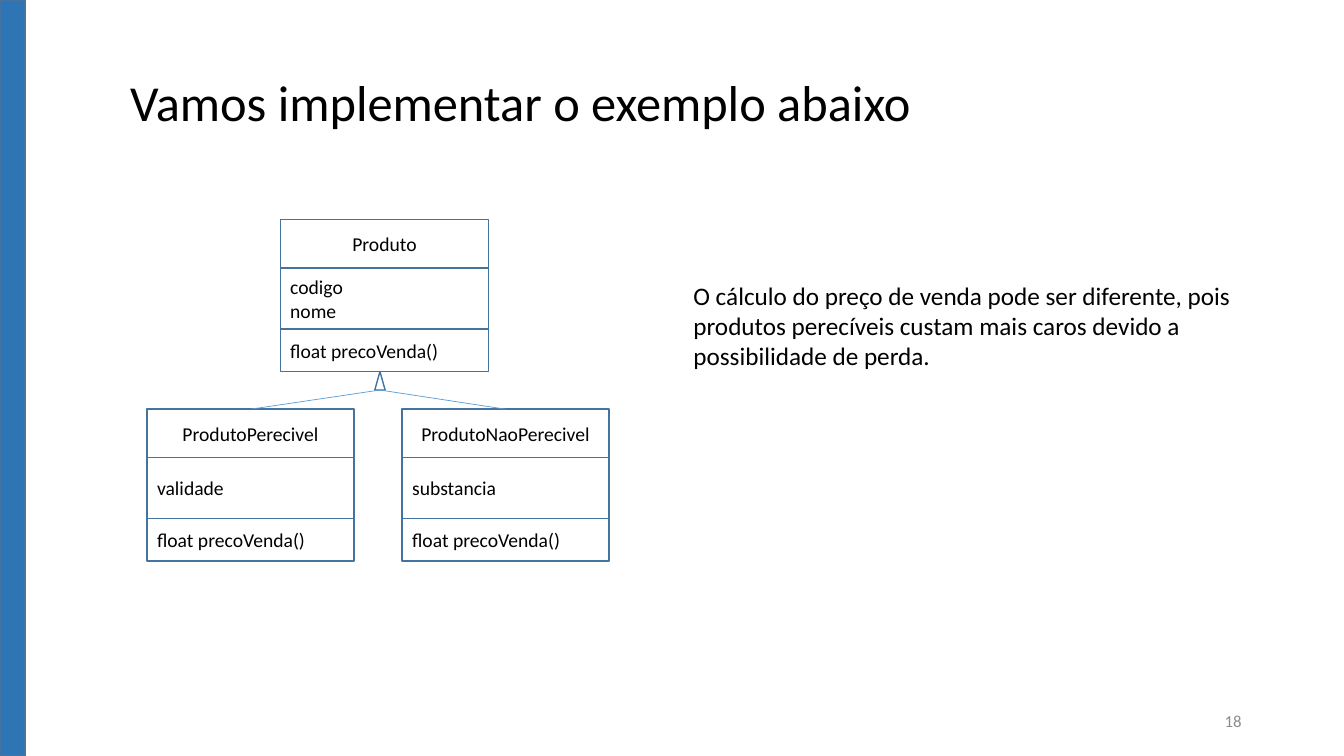
from dataclasses import dataclass

from lxml import etree
from pptx import Presentation
from pptx.dml.color import RGBColor
from pptx.enum.shapes import MSO_CONNECTOR, MSO_SHAPE
from pptx.enum.text import MSO_ANCHOR, MSO_AUTO_SIZE, PP_ALIGN
from pptx.oxml.ns import qn
from pptx.util import Pt

RECTANGLE = MSO_SHAPE.RECTANGLE
TRIANGLE = MSO_SHAPE.ISOSCELES_TRIANGLE
STRAIGHT = MSO_CONNECTOR.STRAIGHT
LEFT, CENTER, RIGHT = PP_ALIGN.LEFT, PP_ALIGN.CENTER, PP_ALIGN.RIGHT
TOP, MIDDLE = MSO_ANCHOR.TOP, MSO_ANCHOR.MIDDLE
NO_AUTOFIT = MSO_AUTO_SIZE.NONE
TITLE_ONLY_LAYOUT = 5
SLIDE_WIDTH, SLIDE_HEIGHT = 960, 540


@dataclass(frozen=True)
class Theme:
    """Colours, font, type sizes and line widths of the slide."""
    font: str = "Calibri"
    text: str = "000000"
    muted: str = "8C8C8C"
    outline: str = "43739E"
    link: str = "5B9BD5"
    sidebar: str = "2E75B6"
    title_size: float = 36
    body_size: float = 18
    class_size: float = 14
    number_size: float = 12
    outline_width: float = 1
    link_width: float = 0.5


@dataclass(frozen=True)
class Box:
    """A rectangle in points."""
    left: float
    top: float
    width: float
    height: float

    def lengths(self) -> tuple:
        """Return left, top, width and height as lengths."""
        return Pt(self.left), Pt(self.top), Pt(self.width), Pt(self.height)


@dataclass(frozen=True)
class UmlClass:
    """A class with its name, attributes and methods."""
    left: float
    top: float
    width: float
    name: str
    attributes: str
    methods: str

    @property
    def center(self) -> float:
        """Return the horizontal middle."""
        return self.left + self.width / 2


THEME = Theme()
ROW_HEIGHTS = (34.4, 43.6, 30.4)
CHILD_TOP, CHILD_WIDTH = 292.3, 147.8
PARENT = UmlClass(200.2, 157, 149, "Produto", "codigo\nnome", "float precoVenda()")
CHILDREN = (
    UmlClass(105.1, CHILD_TOP, CHILD_WIDTH, "ProdutoPerecivel", "validade",
             "float precoVenda()"),
    UmlClass(287.3, CHILD_TOP, CHILD_WIDTH, "ProdutoNaoPerecivel", "substancia",
             "float precoVenda()"),
)
ARROWHEAD = Box(267.7, PARENT.top + sum(ROW_HEIGHTS), 7.4, 13.2)


def write_text(frame, text: str, *, size: float, color: str = THEME.text,
               align=LEFT, anchor=MIDDLE) -> None:
    """Fill a text frame with one paragraph per line of text."""
    frame.text = text
    frame.word_wrap = True
    frame.auto_size = NO_AUTOFIT
    frame.vertical_anchor = anchor
    for paragraph in frame.paragraphs:
        paragraph.alignment = align
        font = paragraph.font
        font.name, font.size = THEME.font, Pt(size)
        font.color.rgb = RGBColor.from_string(color)


def add_outlined_shape(shapes, kind, box: Box, fill: str | None = None):
    """Add a preset shape with the outline colour and an optional fill."""
    shape = shapes.add_shape(kind, *box.lengths())
    shape.shadow.inherit = False
    if fill:
        shape.fill.solid()
        shape.fill.fore_color.rgb = RGBColor.from_string(fill)
    else:
        shape.fill.background()
    shape.line.color.rgb = RGBColor.from_string(THEME.outline)
    shape.line.width = Pt(THEME.outline_width)
    return shape


def add_text_box(shapes, box: Box, text: str, **text_format) -> None:
    """Add a text box with formatted text."""
    write_text(shapes.add_textbox(*box.lengths()).text_frame, text, **text_format)


def add_uml_class(shapes, uml_class: UmlClass) -> None:
    """Draw a class as a group of three stacked compartments."""
    group = shapes.add_group_shape()
    top = uml_class.top
    texts = (uml_class.name, uml_class.attributes, uml_class.methods)
    for text, height, align in zip(texts, ROW_HEIGHTS, (CENTER, LEFT, LEFT)):
        row = Box(uml_class.left, top, uml_class.width, height)
        shape = add_outlined_shape(group.shapes, RECTANGLE, row)
        write_text(shape.text_frame, text, size=THEME.class_size, align=align)
        top += height


def add_inheritance_line(shapes, child: UmlClass) -> None:
    """Join the top of a child class to the base of the arrowhead."""
    connector = shapes.add_connector(
        STRAIGHT, Pt(child.center), Pt(child.top),
        Pt(ARROWHEAD.left + ARROWHEAD.width / 2),
        Pt(ARROWHEAD.top + ARROWHEAD.height))
    connector.line.color.rgb = RGBColor.from_string(THEME.link)
    connector.line.width = Pt(THEME.link_width)
    etree.SubElement(connector._element.spPr, qn("a:effectLst"))


def add_title(slide, box: Box, text: str) -> None:
    """Move the title placeholder and write the title."""
    title = slide.shapes.title
    title.left, title.top, title.width, title.height = box.lengths()
    write_text(title.text_frame, text, size=THEME.title_size)


def main() -> None:
    """Build and save the slide."""
    presentation = Presentation()
    presentation.slide_width = Pt(SLIDE_WIDTH)
    presentation.slide_height = Pt(SLIDE_HEIGHT)
    slide = presentation.slides.add_slide(
        presentation.slide_layouts[TITLE_ONLY_LAYOUT])
    shapes = slide.shapes

    add_title(slide, Box(85.7, 49, 648, 46.8), "Vamos implementar o exemplo abaixo")
    for uml_class in (PARENT, *CHILDREN):
        add_uml_class(shapes, uml_class)
    add_outlined_shape(shapes, TRIANGLE, ARROWHEAD)
    for child in CHILDREN:
        add_inheritance_line(shapes, child)
    add_text_box(
        shapes, Box(488.2, 196.6, 418.3, 72.7),
        "O cálculo do preço de venda pode ser diferente, pois produtos "
        "perecíveis custam mais caros devido a possibilidade de perda.",
        size=THEME.body_size, anchor=TOP)
    add_text_box(shapes, Box(678, 500.5, 216, 28.8), "18",
                 size=THEME.number_size, color=THEME.muted, align=RIGHT)
    add_outlined_shape(shapes, RECTANGLE, Box(0, 0, 18, SLIDE_HEIGHT), THEME.sidebar)
    presentation.save("out.pptx")


main()
